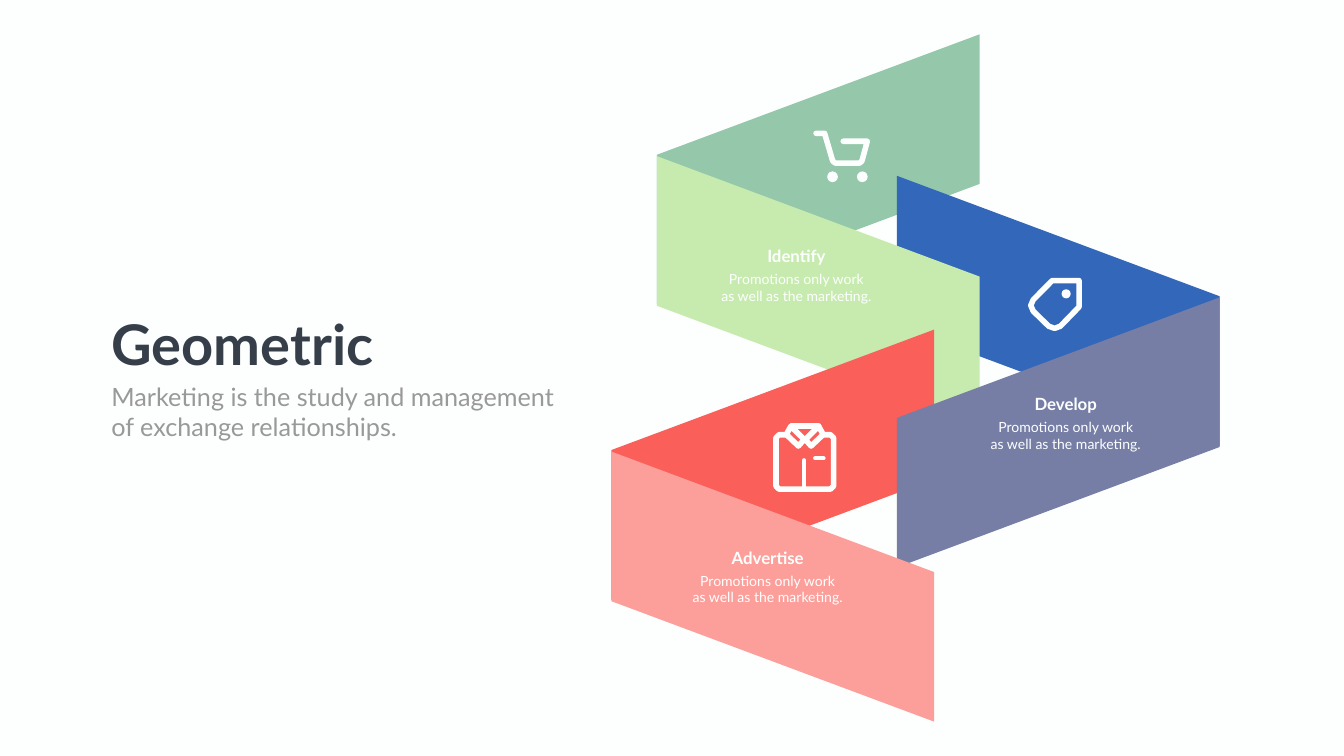
from dataclasses import dataclass

from lxml.etree import SubElement
from pptx import Presentation
from pptx.dml.color import RGBColor
from pptx.enum.shapes import MSO_CONNECTOR, MSO_SHAPE
from pptx.enum.text import MSO_ANCHOR, MSO_AUTO_SIZE, PP_ALIGN
from pptx.oxml.ns import qn
from pptx.util import Cm, Pt


@dataclass(frozen=True)
class Theme:
    """Colours, font and type sizes of the slide."""

    font: str = "Lato"
    paper: RGBColor = RGBColor(0xFD, 0xFF, 0xFE)
    ink: RGBColor = RGBColor(0x35, 0x3E, 0x49)
    grey: RGBColor = RGBColor(0x98, 0x99, 0x98)
    green: RGBColor = RGBColor(0x95, 0xC7, 0xAA)
    lime: RGBColor = RGBColor(0xC7, 0xEB, 0xAF)
    blue: RGBColor = RGBColor(0x32, 0x67, 0xBA)
    slate: RGBColor = RGBColor(0x76, 0x7E, 0xA6)
    red: RGBColor = RGBColor(0xFA, 0x5F, 0x59)
    pink: RGBColor = RGBColor(0xFC, 0x9F, 0x9B)
    title_size: int = 80
    subtitle_size: int = 36
    heading_size: int = 24
    text_size: int = 20
    stroke: float = 0.28
    thin_stroke: float = 0.2


THEME = Theme()
PANEL_WIDTH, PANEL_SIDE, PANEL_RISE = 16.26, 7.54, 6.07


def write_text(shape, text, size, color, bold=False, align=PP_ALIGN.LEFT):
    """Fill a text shape and format every run in it."""
    frame = shape.text_frame
    frame.text = text
    frame.word_wrap = True
    frame.auto_size = MSO_AUTO_SIZE.NONE
    frame.vertical_anchor = MSO_ANCHOR.TOP
    for paragraph in frame.paragraphs:
        paragraph.alignment = align
        paragraph.space_before = Pt(0)
        for run in paragraph.runs:
            run.font.name = THEME.font
            run.font.size = Pt(size)
            run.font.bold = bold
            run.font.color.rgb = color


def place(shape, left, top, width, height):
    """Move and size a shape, in centimetres."""
    shape.left, shape.top = Cm(left), Cm(top)
    shape.width, shape.height = Cm(width), Cm(height)


def remove_bullets(shape):
    """Turn off bullets and indents in a body placeholder."""
    for paragraph in shape.text_frame.paragraphs:
        properties = paragraph._p.get_or_add_pPr()
        properties.set("marL", "0")
        properties.set("indent", "0")
        SubElement(properties, qn("a:buNone"))


def add_outline(slide, points, closed):
    """Add a freeform through points given in centimetres."""
    corners = [(Cm(x), Cm(y)) for x, y in points]
    builder = slide.shapes.build_freeform(*corners[0])
    builder.add_line_segments(corners[1:], close=closed)
    shape = builder.convert_to_shape()
    shape.shadow.inherit = False
    return shape


def add_panel(slide, left, top, color, rising):
    """Add one slanted ribbon panel."""
    right = left + PANEL_WIDTH
    left_top, right_top = top, top + PANEL_RISE
    if rising:
        left_top, right_top = right_top, left_top
    corners = [(left, left_top), (right, right_top),
               (right, right_top + PANEL_SIDE), (left, left_top + PANEL_SIDE)]
    panel = add_outline(slide, corners, closed=True)
    panel.fill.solid()
    panel.fill.fore_color.rgb = color
    panel.line.fill.background()


def round_line(shape, width):
    """Give a shape a light line with round caps and joins."""
    shape.line.color.rgb = THEME.paper
    shape.line.width = Cm(width)
    line = shape._element.spPr.find(qn("a:ln"))
    line.set("cap", "rnd")
    SubElement(line, qn("a:round"))


def add_stroke(slide, points, closed=False):
    """Add an unfilled icon outline."""
    shape = add_outline(slide, points, closed)
    shape.fill.background()
    round_line(shape, THEME.stroke)


def add_bar(slide, start, end, width):
    """Add a straight icon line."""
    ends = [Cm(value) for value in (*start, *end)]
    bar = slide.shapes.add_connector(MSO_CONNECTOR.STRAIGHT, *ends)
    round_line(bar, width)
    SubElement(bar._element.spPr, qn("a:effectLst"))


def add_dot(slide, left, top, size):
    """Add a filled icon circle."""
    box = [Cm(value) for value in (left, top, size, size)]
    dot = slide.shapes.add_shape(MSO_SHAPE.OVAL, *box)
    dot.shadow.inherit = False
    dot.fill.solid()
    dot.fill.fore_color.rgb = THEME.paper
    dot.line.fill.background()


def add_cart(slide):
    """Draw the shopping cart icon."""
    add_stroke(slide, [(41.12, 6.72), (41.55, 6.72), (41.96, 8.12), (42.09, 8.22),
                       (43.31, 8.22), (43.43, 8.12), (43.7, 7.12), (42.49, 7.12)])
    for left in (41.68, 43.18):
        add_dot(slide, left, 8.64, 0.54)


def add_tag(slide):
    """Draw the price tag icon."""
    add_stroke(slide, [(53.02, 14.14), (54.37, 14.14), (54.37, 15.47), (53.43, 16.44),
                       (53.14, 16.55), (52.84, 16.44), (52.06, 15.68), (51.94, 15.39),
                       (52.06, 15.11)], closed=True)
    add_dot(slide, 53.49, 14.58, 0.46)


def add_shirt(slide):
    """Draw the folded shirt icon, mirrored about its middle."""
    middle = 40.55
    half_body = [(39.62, 21.91), (39.25, 21.91), (39.1, 22.06),
                 (39.1, 24.5), (39.25, 24.65)]
    collar = [(39.85, 21.48), (39.62, 21.9), (40.23, 22.48), (40.52, 22.15)]

    def mirror(points):
        return [(2 * middle - x, y) for x, y in points]

    add_stroke(slide, half_body + mirror(half_body)[::-1])
    for side in (collar, mirror(collar)):
        add_stroke(slide, side, closed=True)
    add_bar(slide, (39.88, 21.48), (41.25, 21.48), THEME.stroke)
    add_bar(slide, (41.07, 23.1), (41.5, 23.1), THEME.thin_stroke)
    add_bar(slide, (40.51, 23.19), (40.51, 24.56), THEME.thin_stroke)


def add_label(slide, center, top, heading):
    """Add a panel heading with its text below."""
    text = "Promotions only work\nas well as the marketing."
    rows = [(heading, 4.67, top, 1.27, THEME.heading_size, True),
            (text, 8.3, top + 1.23, 1.96, THEME.text_size, False)]
    for words, width, row_top, height, size, bold in rows:
        box = slide.shapes.add_textbox(0, 0, 0, 0)
        place(box, center - width / 2, row_top, width, height)
        write_text(box, words, size, THEME.paper, bold, PP_ALIGN.CENTER)


def add_titles(slide):
    """Fill the title and body placeholders."""
    title, body = slide.placeholders[0], slide.placeholders[1]
    place(title, 5.36, 15.47, 14.2, 3.68)
    write_text(title, "Geometric", THEME.title_size, THEME.ink, bold=True)
    place(body, 5.36, 19.08, 24.74, 3.33)
    body.text_frame.text = "Marketing is the study and management\nof exchange relationships."
    write_text(body, body.text_frame.text, THEME.subtitle_size, THEME.grey)
    remove_bullets(body)


def main():
    """Build and save the slide."""
    presentation = Presentation()
    presentation.slide_width, presentation.slide_height = Cm(67.72), Cm(38.1)
    slide = presentation.slides.add_slide(presentation.slide_layouts[1])
    slide.background.fill.solid()
    slide.background.fill.fore_color.rgb = THEME.paper
    panels = [(33.1, 1.73, THEME.green, True), (45.19, 8.86, THEME.blue, False),
              (33.1, 7.87, THEME.lime, False), (30.81, 16.61, THEME.red, True),
              (45.19, 14.99, THEME.slate, True), (30.81, 22.76, THEME.pink, False)]
    for left, top, color, rising in panels:
        add_panel(slide, left, top, color, rising)
    for add_icon in (add_cart, add_tag, add_shirt):
        add_icon(slide)
    add_titles(slide)
    labels = [(40.13, 12.27, "Identify"), (53.7, 19.74, "Develop"),
              (38.68, 27.48, "Advertise")]
    for center, top, heading in labels:
        add_label(slide, center, top, heading)
    presentation.save("out.pptx")


if __name__ == "__main__":
    main()
